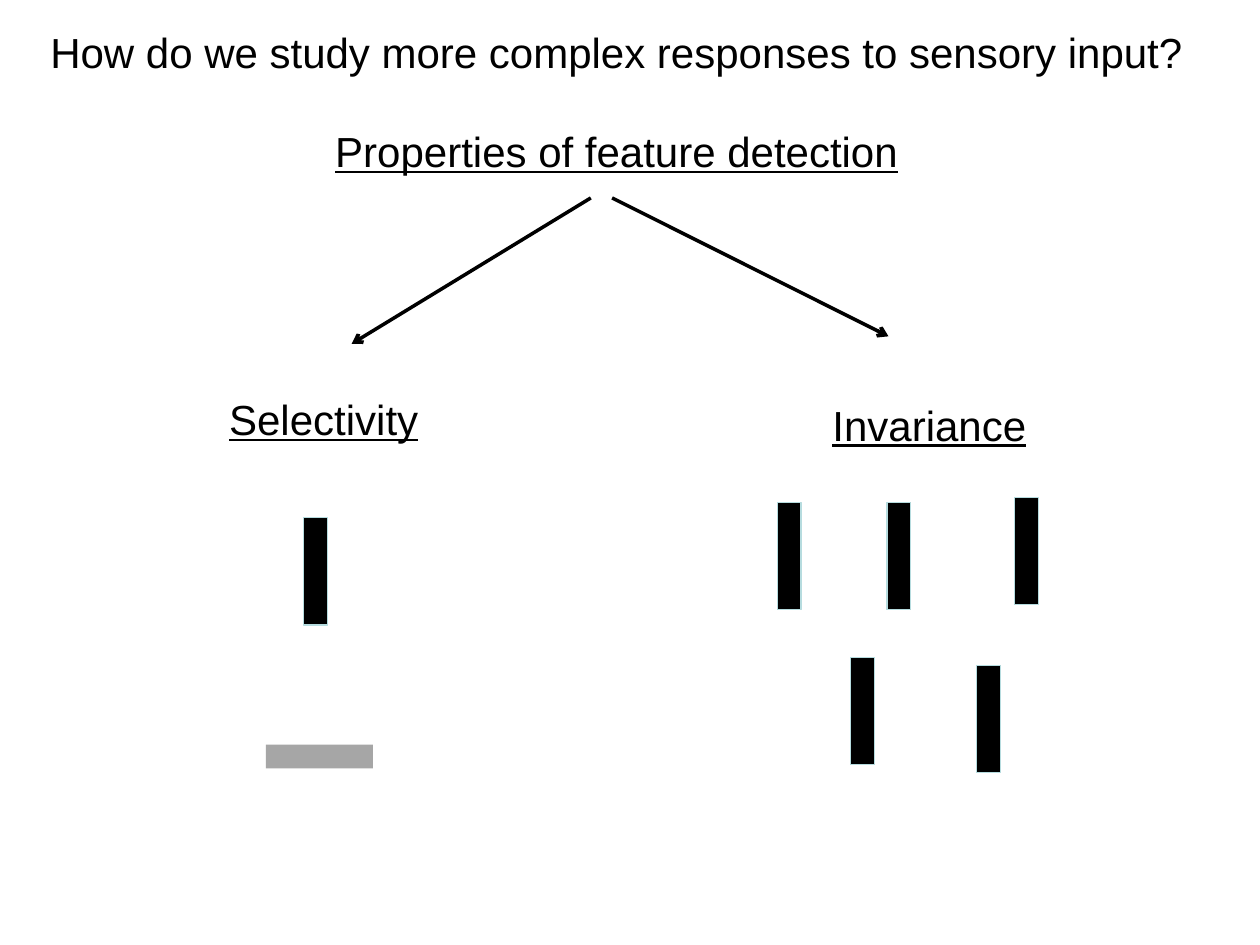
"""Build a slide on selectivity and invariance in feature detection."""
from dataclasses import dataclass

from lxml.etree import SubElement
from pptx import Presentation
from pptx.dml.color import RGBColor
from pptx.enum.shapes import MSO_CONNECTOR as Connector, MSO_SHAPE as Shape
from pptx.enum.text import MSO_ANCHOR as Anchor, MSO_AUTO_SIZE as AutoSize, PP_ALIGN as Align
from pptx.oxml.ns import qn
from pptx.util import Cm, Pt


@dataclass(frozen=True)
class Theme:
    font: str = "Arial"
    text_size: float = 24
    arrow_width: float = 2
    outline_width: float = 0.75
    ink: RGBColor = RGBColor.from_string("000000")
    muted: RGBColor = RGBColor.from_string("A6A6A6")
    outline: RGBColor = RGBColor.from_string("B6DCDF")


THEME = Theme()
TITLE = ("How do we study more complex responses to sensory input?", 0.64, 0.41, 23.57)
HEADINGS = [
    ("Properties of feature detection", 6.45, 2.41, 11.96),
    ("Selectivity", 4.34, 7.8, 4.37),
    ("Invariance", 16.51, 7.92, 4.45),
]
TEXT_HEIGHT = 1.27
ARROWS = [(11.91, 3.99, 7.09, 6.93), (12.34, 3.99, 17.91, 6.78)]
BAR_SHORT, BAR_LONG = 0.48, 2.16
PREFERRED_BAR = (6.12, 10.44)
REJECTED_BAR = (5.36, 15.01)
INVARIANT_BARS = [
    (15.67, 10.13), (17.88, 10.13), (20.45, 10.03),
    (17.15, 13.26), (19.69, 13.41),
]


def write_text(box, text, left, top, width, underline=False):
    box.left, box.top, box.width, box.height = map(Cm, (left, top, width, TEXT_HEIGHT))
    frame = box.text_frame
    frame.text = text
    frame.word_wrap = False
    frame.auto_size = AutoSize.SHAPE_TO_FIT_TEXT
    frame.vertical_anchor = Anchor.TOP
    para = frame.paragraphs[0]
    para.alignment = Align.CENTER
    font = para.runs[0].font
    font.name, font.size, font.underline = THEME.font, Pt(THEME.text_size), underline
    font.color.rgb = THEME.ink


def add_arrow(page, *ends):
    arrow = page.shapes.add_connector(Connector.STRAIGHT, *map(Cm, ends))
    arrow.line.color.rgb = THEME.ink
    arrow.line.width = Pt(THEME.arrow_width)
    SubElement(arrow.line._get_or_add_ln(), qn("a:tailEnd"), type="arrow")
    SubElement(arrow._element.spPr, qn("a:effectLst"))


def add_bar(page, left, top, width, height, fill, outline=None):
    bar = page.shapes.add_shape(Shape.RECTANGLE, *map(Cm, (left, top, width, height)))
    bar.shadow.inherit = False
    bar.fill.solid()
    bar.fill.fore_color.rgb = fill
    if outline is None:
        bar.line.fill.background()
    else:
        bar.line.color.rgb = outline
        bar.line.width = Pt(THEME.outline_width)


def main():
    deck = Presentation()
    deck.slide_width, deck.slide_height = Cm(25.4), Cm(19.05)
    page = deck.slides.add_slide(deck.slide_layouts[5])
    write_text(page.shapes.title, *TITLE)
    for heading in HEADINGS:
        box = page.shapes.add_textbox(0, 0, 0, 0)
        write_text(box, *heading, underline=True)
    for ends in ARROWS:
        add_arrow(page, *ends)
    for corner in [PREFERRED_BAR, *INVARIANT_BARS]:
        add_bar(page, *corner, BAR_SHORT, BAR_LONG, THEME.ink, THEME.outline)
    add_bar(page, *REJECTED_BAR, BAR_LONG, BAR_SHORT, THEME.muted)
    deck.save("out.pptx")


if __name__ == "__main__":
    main()
